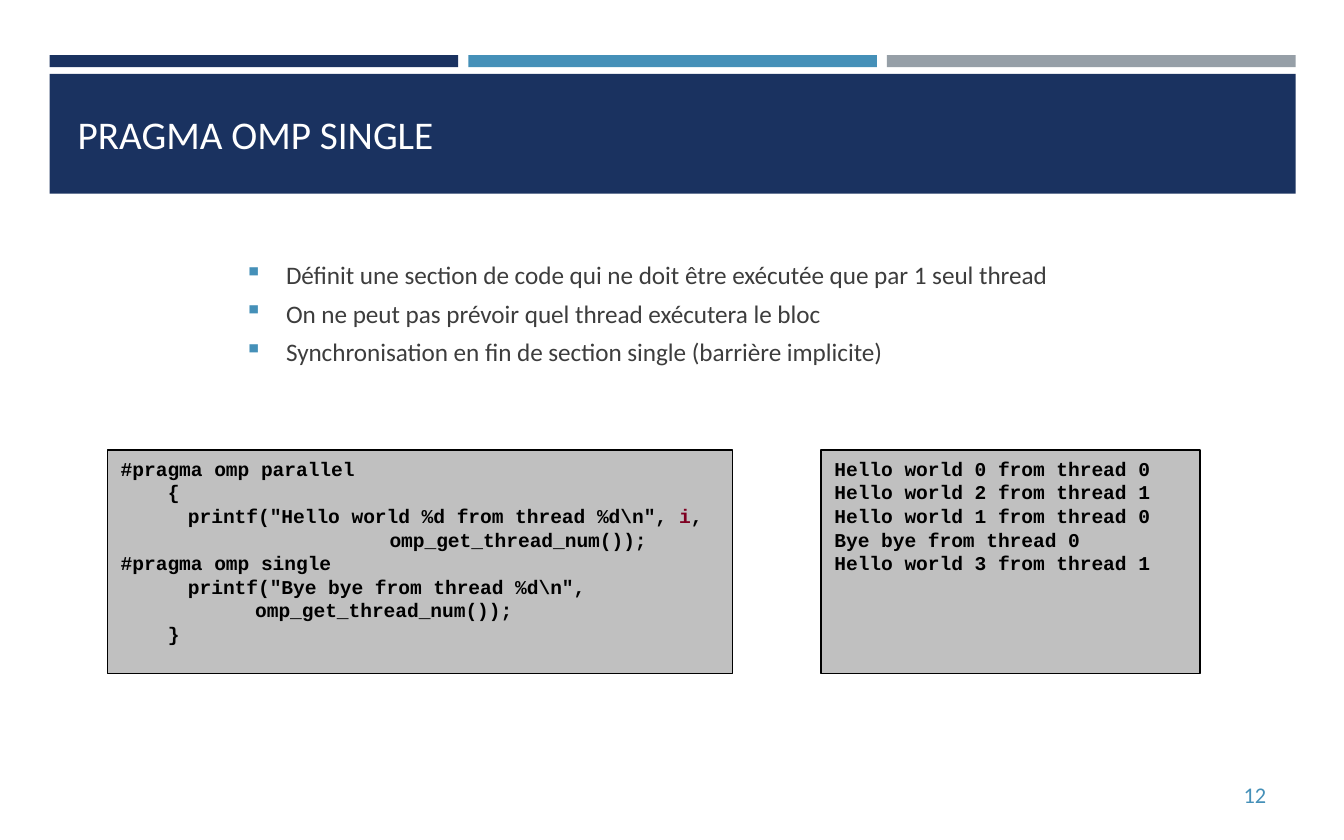
from lxml import etree
from pptx import Presentation
from pptx.dml.color import RGBColor
from pptx.enum.shapes import MSO_SHAPE as Shape
from pptx.enum.text import MSO_ANCHOR as Anchor, PP_ALIGN as Align
from pptx.oxml.ns import qn
from pptx.util import Inches, Pt

NAVY, BLUE, GREY = "1A3260", "4590B8", "969FA7"
WHITE, BLACK, INK, SILVER, CRIMSON = "FFFFFF", "000000", "3D3D3D", "C0C0C0", "7E0021"
SANS, MONO = "Calibri", "Courier New"

POINTS = [
    "Définit une section de code qui ne doit être exécutée que par 1 seul thread",
    "On ne peut pas prévoir quel thread exécutera le bloc",
    "Synchronisation en fin de section single (barrière implicite)",
]
CODE = [
    (0, [("#pragma omp parallel", BLACK)]),
    (0.35, [("{", BLACK)]),
    (0.5, [('printf("Hello world %d from thread %d\\n", ', BLACK), ("i", CRIMSON), (",", BLACK)]),
    (2, [("omp_get_thread_num());", BLACK)]),
    (0, [("#pragma omp single", BLACK)]),
    (0.5, [('printf("Bye bye from thread %d\\n",', BLACK)]),
    (1, [("omp_get_thread_num());", BLACK)]),
    (0.35, [("}", BLACK)]),
]
OUTPUT = [
    (0, [(line, BLACK)])
    for line in (
        "Hello world 0 from thread 0",
        "Hello world 2 from thread 1",
        "Hello world 1 from thread 0",
        "Bye bye from thread 0",
        "Hello world 3 from thread 1",
    )
]


def color(value):
    """Turn a hex string into a colour."""
    return RGBColor.from_string(value)


def add_block(slide, box, fill, outline=None):
    """Add a flat rectangle, outlined on request."""
    block = slide.shapes.add_shape(Shape.RECTANGLE, *map(Inches, box))
    block.shadow.inherit = False
    block.fill.solid()
    block.fill.fore_color.rgb = color(fill)
    if outline:
        block.line.color.rgb = color(outline)
        block.line.width = Pt(0.75)
    else:
        block.line.fill.background()
    return block


def add_text(slide, box, anchor=Anchor.TOP):
    """Add a wrapping text box and return its frame."""
    frame = slide.shapes.add_textbox(*map(Inches, box)).text_frame
    frame.word_wrap = True
    frame.vertical_anchor = anchor
    return frame


def add_run(paragraph, text, size, font, ink, bold=False):
    """Append one formatted run."""
    run = paragraph.add_run()
    run.text = text
    run.font.size = Pt(size)
    run.font.name = font
    run.font.bold = bold
    run.font.color.rgb = color(ink)


def next_paragraph(frame, index):
    """Return the first paragraph, or a new one after it."""
    return frame.add_paragraph() if index else frame.paragraphs[0]


def set_bullet(paragraph, mark, ink, indent):
    """Give a paragraph a coloured bullet with a hanging indent."""
    props = paragraph._p.get_or_add_pPr()
    props.set("marL", str(Inches(indent)))
    props.set("indent", str(-Inches(indent)))
    tint = etree.SubElement(props, qn("a:buClr"))
    etree.SubElement(tint, qn("a:srgbClr"), val=ink)
    etree.SubElement(props, qn("a:buChar"), char=mark)


def add_header(slide, box, title):
    """Draw three accent bars above the title band."""
    left, top, width, height = box
    bar_width, bar_height, band_offset = 3.04, 0.09, 0.14
    step = (width - bar_width) / 2
    for index, fill in enumerate((NAVY, BLUE, GREY)):
        add_block(slide, (left + index * step, top, bar_width, bar_height), fill)
    add_block(slide, (left, top + band_offset, width, height - band_offset), NAVY)
    heading = add_text(slide, (left + 0.11, top - 0.09, width - 0.22, 0.9), Anchor.BOTTOM)
    add_run(heading.paragraphs[0], title, 21, SANS, WHITE)


def add_points(slide, box, points):
    """Write the bulleted points."""
    frame = add_text(slide, box)
    for index, point in enumerate(points):
        paragraph = next_paragraph(frame, index)
        paragraph.space_before = Pt(4.5)
        set_bullet(paragraph, "▪", BLUE, 0.31)
        add_run(paragraph, point, 13.5, SANS, INK)


def add_listing(slide, box, lines):
    """Write indented monospaced lines in a grey panel."""
    frame = add_block(slide, box, SILVER, BLACK).text_frame
    frame.word_wrap = True
    frame.vertical_anchor = Anchor.TOP
    for index, (indent, pieces) in enumerate(lines):
        paragraph = next_paragraph(frame, index)
        paragraph.alignment = Align.LEFT
        paragraph.line_spacing = Pt(12.6)
        paragraph._p.get_or_add_pPr().set("marL", str(Inches(indent)))
        for text, ink in pieces:
            add_run(paragraph, text, 10.5, MONO, ink, bold=True)


def add_page_number(slide, box, number):
    """Write the page number at the right of its box."""
    paragraph = add_text(slide, box, Anchor.MIDDLE).paragraphs[0]
    paragraph.alignment = Align.RIGHT
    add_run(paragraph, number, 12, SANS, BLUE)


def main():
    """Build and save the slide."""
    deck = Presentation()
    deck.slide_width, deck.slide_height = Inches(10), Inches(6.25)
    slide = deck.slides.add_slide(deck.slide_layouts[6])
    add_header(slide, (0.37, 0.41, 9.27, 1.03), "PRAGMA OMP SINGLE")
    add_page_number(slide, (8.66, 5.75, 0.86, 0.33), "12")
    add_points(slide, (1.72, 1.88, 9.01, 4.21), POINTS)
    add_listing(slide, (0.8, 3.35, 4.65, 1.66), CODE)
    add_listing(slide, (6.11, 3.35, 2.82, 1.66), OUTPUT)
    deck.save("out.pptx")


if __name__ == "__main__":
    main()
